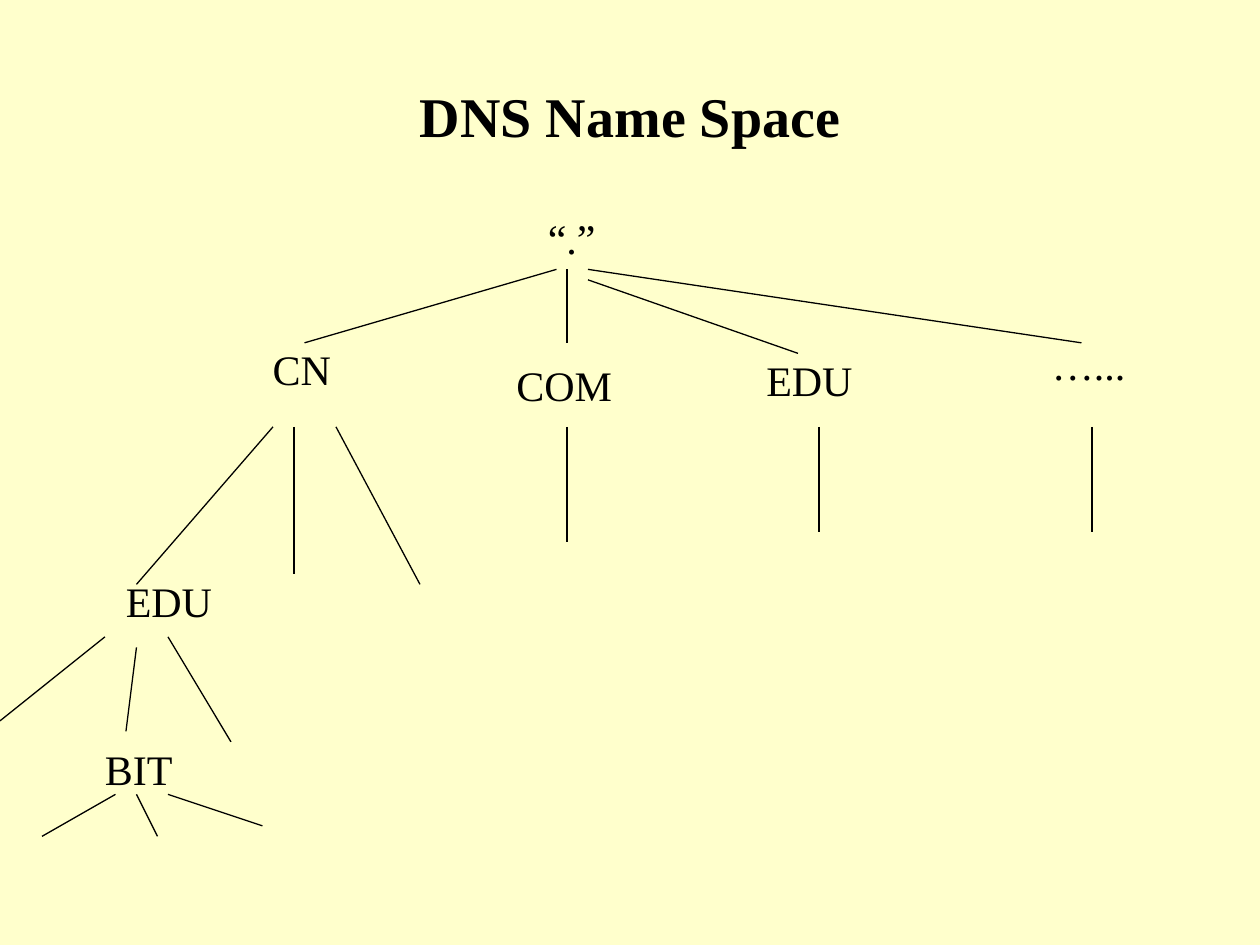
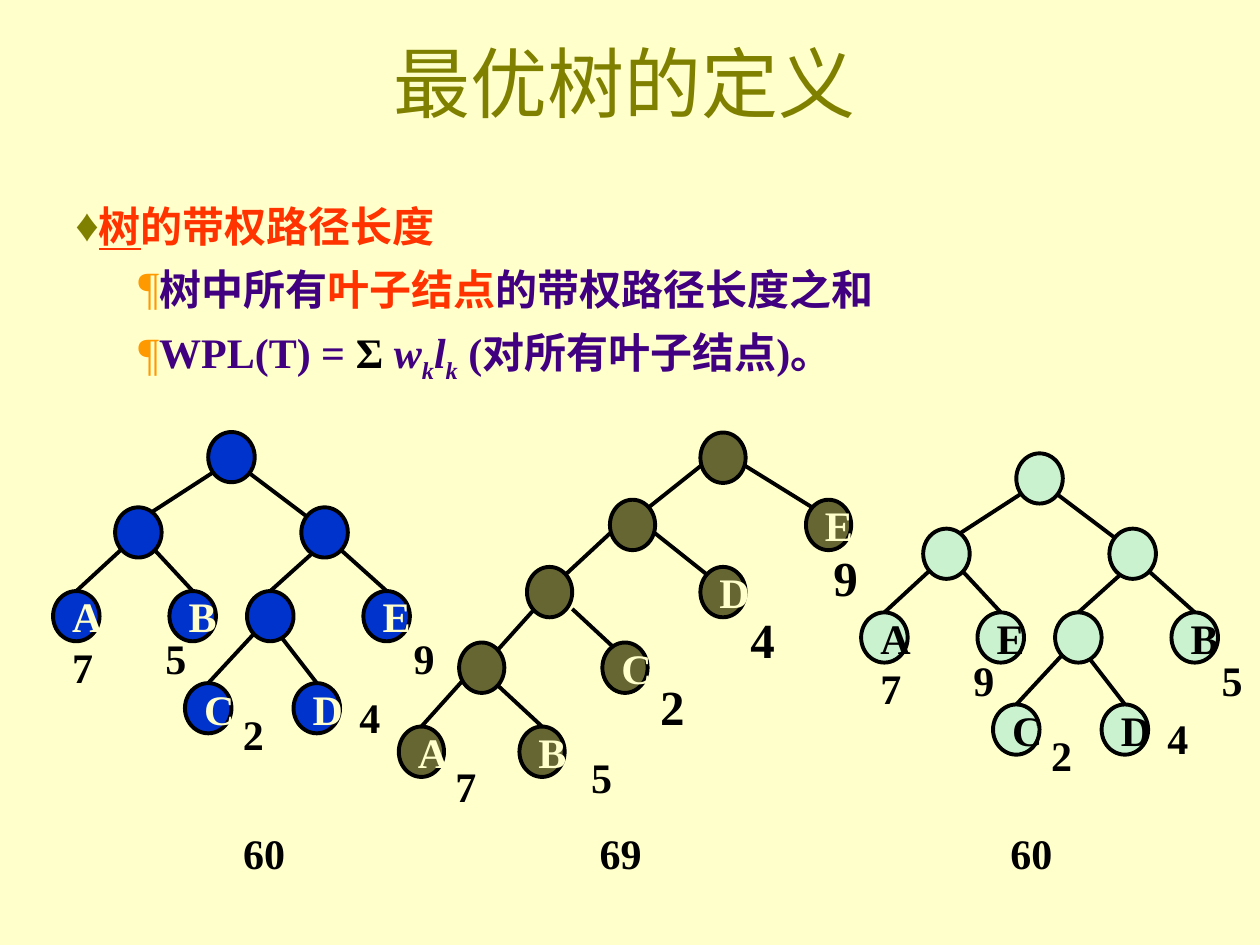
from collections import namedtuple
from itertools import zip_longest

from lxml import etree
from pptx import Presentation
from pptx.dml.color import RGBColor
from pptx.enum.shapes import MSO_CONNECTOR, MSO_SHAPE
from pptx.enum.text import MSO_ANCHOR, MSO_AUTO_SIZE, MSO_UNDERLINE, PP_ALIGN
from pptx.oxml.ns import qn
from pptx.util import Cm, Pt

FONT = "Times New Roman"
COLORS = {
    "paper": "FFFFCC", "ink": "000000", "olive": "808000", "red": "FF3300",
    "purple": "400080", "orange": "FF9900", "blue": "0033CC",
    "moss": "666633", "mint": "CAF2CE",
}
NODE = 6

Box = namedtuple("Box", "x y w h")
Grid = namedtuple("Grid", "box cols rows")

DNS_LABELS = [
    ("“.”", 51, -6, 7), ("…...", 99, 6, 9.4), ("COM", 48, 8, 11.6),
    ("EDU", 71.8, 7.5, 10.8), ("CN", 24.8, 6.5, 8.4),
    ("EDU", 10.8, 28.6, 10.8), ("BIT", 8.8, 44.6, 9),
]
DNS_EDGES = [
    (53, 0, 29, 7), (54, 0, 54, 7), (56, 1, 76, 8), (56, 0, 103, 7),
    (26, 15, 13, 30), (28, 15, 28, 29), (32, 15, 40, 30),
    (54, 15, 54, 26), (78, 15, 78, 25), (104, 15, 104, 25),
    (10, 35, 0, 43), (13, 36, 12, 44), (16, 35, 22, 45),
    (11, 50, 4, 54), (13, 50, 15, 54), (16, 50, 25, 53),
]
BALANCED = {
    "back": [(17, 30), (40, 19), (31, 30), (0, 19), (15, 19)],
    "front": [(8, 9), (32, 9), (25, 19), (20, 0)],
    "edges": [
        (22, 4, 12, 10), (24, 4, 34, 11), (34, 14, 28, 19), (37, 14, 43, 19),
        (27, 23, 20, 30), (29, 24, 34, 30), (10, 13, 3, 19), (12, 13, 18, 19),
    ],
    "weights": [(0, 25), (12, 24), (22, 33), (37, 31), (44, 24)],
}
CHAIN = {
    "back": [(40, 0), (28, 8), (54, 8), (17, 16), (40, 16), (0, 35)],
    "front": [(16, 35), (27, 25), (8, 25)],
    "edges": [
        (46, 4, 55, 9), (40, 4, 33, 9), (34, 12, 41, 17), (28, 12, 22, 17),
        (9, 29, 3, 35), (13, 30, 19, 35), (23, 21, 29, 26), (18, 21, 13, 26),
    ],
    "weights": [(5, 39), (23, 38)],
    "big_weights": [("2", 33, 28.3), ("4", 45, 20.3), ("9", 56, 13)],
}


def cell(grid, x, y, w=0, h=0):
    dx, dy = grid.box.w / grid.cols, grid.box.h / grid.rows
    return Box(grid.box.x + x * dx, grid.box.y + y * dy, w * dx, h * dy)


def emu(box):
    return [Cm(v) for v in box]


def rgb(name):
    return RGBColor.from_string(COLORS[name])


def write(p, text, size=24, color="ink", bold=False, italic=False,
          underline=False, base=0):
    r = p.add_run()
    r.text = text
    f = r.font
    f.name, f.size, f.bold, f.italic = FONT, Pt(size), bold, italic
    f.color.rgb = rgb(color)
    if underline:
        f.underline = MSO_UNDERLINE.SINGLE_LINE
    if base:
        r._r.get_or_add_rPr().set("baseline", str(base * 1000))


def add_label(slide, box, text, **fmt):
    tf = slide.shapes.add_textbox(*emu(box)).text_frame
    tf.word_wrap = False
    tf.auto_size = MSO_AUTO_SIZE.SHAPE_TO_FIT_TEXT
    write(tf.paragraphs[0], text, **fmt)


def add_title(slide, box, text, **fmt):
    tf = slide.shapes.add_textbox(*emu(box)).text_frame
    tf.word_wrap = True
    tf.vertical_anchor = MSO_ANCHOR.MIDDLE
    tf.paragraphs[0].alignment = PP_ALIGN.CENTER
    write(tf.paragraphs[0], text, **fmt)


def add_edges(slide, grid, edges, width):
    for x1, y1, x2, y2 in edges:
        a, b = cell(grid, x1, y1), cell(grid, x2, y2)
        ln = slide.shapes.add_connector(
            MSO_CONNECTOR.STRAIGHT, Cm(a.x), Cm(a.y), Cm(b.x), Cm(b.y))
        ln.line.color.rgb = rgb("ink")
        ln.line.width = Pt(width)
        etree.SubElement(ln._element.spPr, qn("a:effectLst"))


def add_circle(slide, box, text, fill=None, color="ink"):
    sp = slide.shapes.add_shape(MSO_SHAPE.OVAL, *emu(box))
    sp.shadow.inherit = False
    if fill:
        sp.fill.solid()
        sp.fill.fore_color.rgb = rgb(fill)
        sp.line.color.rgb = rgb("ink")
        sp.line.width = Pt(2.25)
    else:
        sp.fill.background()
        sp.line.fill.background()
    if text:
        tf = sp.text_frame
        tf.word_wrap = False
        tf.vertical_anchor = MSO_ANCHOR.MIDDLE
        p = tf.paragraphs[0]
        p.alignment = PP_ALIGN.LEFT
        write(p, text, color=color, bold=True)


def add_tree(slide, grid, tree, letters, weights, fill, color):
    nodes = list(zip_longest(tree["back"] + tree["front"], letters, fillvalue=""))
    split = len(tree["back"])

    def draw(items, **fmt):
        for (x, y), text in items:
            add_circle(slide, cell(grid, x, y, NODE, NODE), text, **fmt)

    draw(nodes[:split], fill=fill, color=color)
    add_edges(slide, grid, tree["edges"], 2.25)
    draw(nodes[split:], fill=fill, color=color)
    draw(zip(tree["weights"], weights))
    for text, x, y in tree.get("big_weights", []):
        add_label(slide, cell(grid, x, y, 6.7, 8.5), text, size=28, bold=True)


def set_bullet(p, char, color, left=0):
    pPr = p._p.get_or_add_pPr()
    pPr.set("marL", str(Cm(left)))
    pPr.set("indent", "0")
    clr = etree.SubElement(pPr, qn("a:buClr"))
    etree.SubElement(clr, qn("a:srgbClr"), val=COLORS[color])
    etree.SubElement(pPr, qn("a:buSzPct"), val="110000")
    etree.SubElement(pPr, qn("a:buFont"), typeface=FONT)
    etree.SubElement(pPr, qn("a:buChar"), char=char)


def add_definition(slide, box):
    red, purple = {"color": "red"}, {"color": "purple"}
    math = {"color": "purple", "italic": True}
    sub = {**math, "base": -25}
    lines = [
        [("树", {**red, "underline": True}), ("的带权路径长度", red)],
        [("树中所有", purple), ("叶子结点", red), ("的带权路径长度之和", purple)],
        [("WPL(T) = ", purple), ("Σ ", {}), ("w", math), ("k", sub),
         ("l", math), ("k", sub), (" (对所有叶子结点)。", purple)],
    ]
    tf = slide.shapes.add_textbox(*emu(box)).text_frame
    tf.word_wrap = True
    for i, runs in enumerate(lines):
        p = tf.add_paragraph() if i else tf.paragraphs[0]
        if i:
            p.level = 1
            p.space_before = Pt(7.2)
            set_bullet(p, "¶", "orange", left=1.27)
        else:
            set_bullet(p, "♦", "olive")
        for text, fmt in runs:
            write(p, text, bold=True, **fmt)


def new_slide(prs):
    slide = prs.slides.add_slide(prs.slide_layouts[6])
    slide.background.fill.solid()
    slide.background.fill.fore_color.rgb = rgb("paper")
    return slide


def build_dns(prs):
    slide = new_slide(prs)
    add_title(slide, Box(1.91, 1.12, 21.59, 2.39), "DNS Name Space",
              size=32, bold=True)
    grid = Grid(Box(0, 5.43, 25.4, 11.43), 120, 54)
    add_edges(slide, grid, DNS_EDGES, 0.75)
    for text, x, y, w in DNS_LABELS:
        add_label(slide, cell(grid, x, y, w, 6), text)


def build_optimal_tree(prs):
    slide = new_slide(prs)
    add_title(slide, Box(1.8, 0.05, 21.59, 3.18), "最优树的定义",
              size=44, color="olive")
    add_tree(slide, Grid(Box(1.07, 8.71, 7.82, 6.58), 50, 39), BALANCED,
             "CEDAB", "75249", "blue", "paper")
    add_tree(slide, Grid(Box(8.04, 8.72, 9.12, 7.62), 60, 45), CHAIN,
             ["", "", "E", "", "D", "A", "B", "C"], "75", "moss", "paper")
    add_tree(slide, Grid(Box(17.36, 9.14, 7.82, 6.58), 50, 39), BALANCED,
             "CBDAE", "79245", "mint", "ink")
    for text, x in (("60", 4.65), ("69", 11.84), ("60", 20.12)):
        add_label(slide, Box(x, 16.56, 1.5, 1.45), text, bold=True)
    add_definition(slide, Box(1.27, 3.92, 24.13, 4.52))


def main():
    prs = Presentation()
    prs.slide_width, prs.slide_height = Cm(25.4), Cm(19.05)
    build_dns(prs)
    build_optimal_tree(prs)
    prs.save("out.pptx")


if __name__ == "__main__":
    main()
